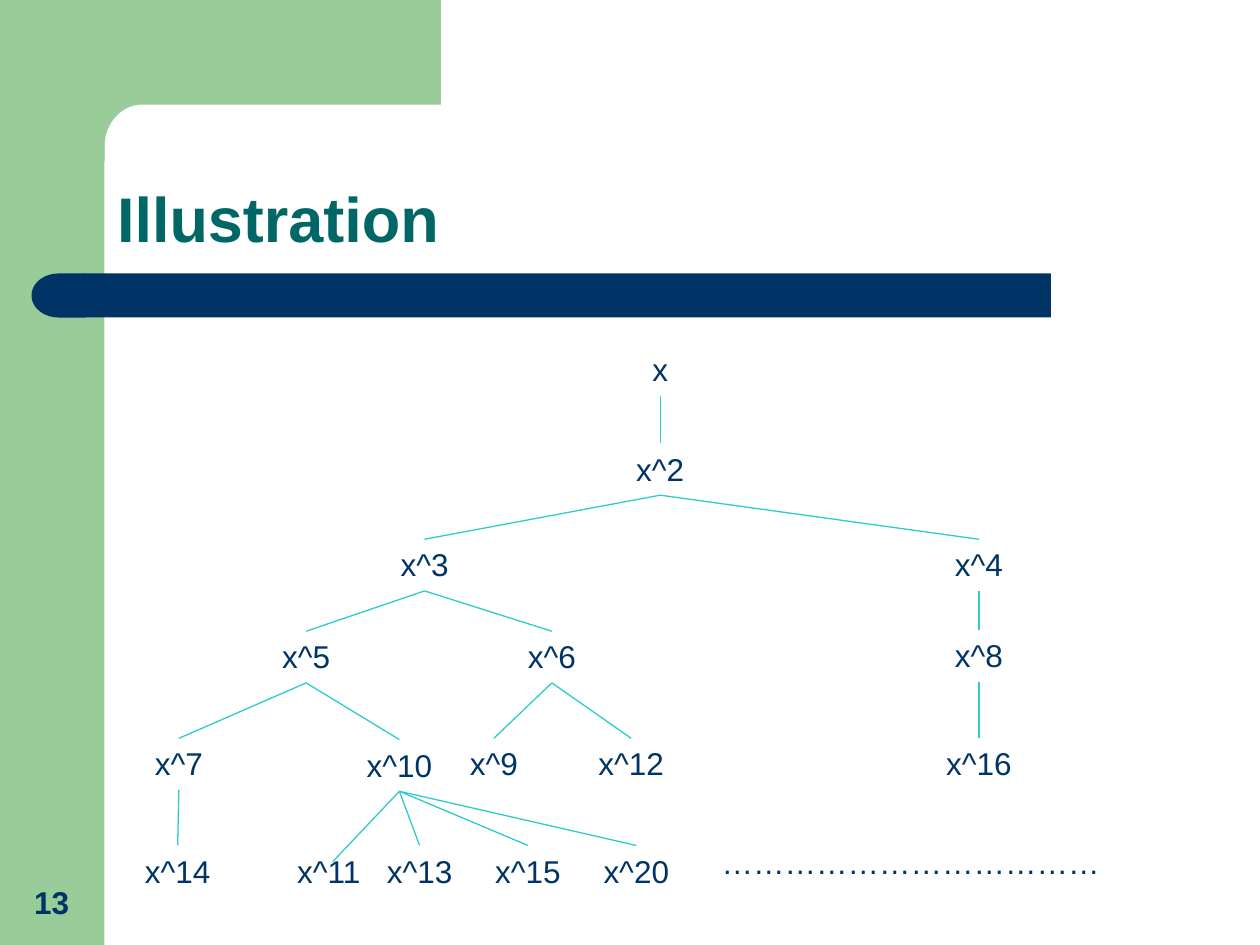
"""Build a slide showing a tree of powers of x."""
import math

from lxml import etree
from pptx import Presentation
from pptx import util as u
from pptx.dml.color import RGBColor
from pptx.enum import shapes, text
from pptx.oxml.ns import qn

GREEN, NAVY, TEAL, CYAN = "99CC99", "003366", "006666", "2ECBCB"
NODE_HEIGHT = 0.4

NODES = {
    "x": (5.24, 2.73, 0.47),
    "x^2": (5.24, 3.52, 0.7),
    "x^3": (3.37, 4.28, 0.7),
    "x^4": (7.77, 4.28, 0.7),
    "x^5": (2.43, 5.01, 0.7),
    "x^6": (4.38, 5.01, 0.7),
    "x^8": (7.77, 5, 0.7),
    "x^7": (1.42, 5.86, 0.7),
    "x^10": (3.17, 5.87, 0.78),
    "x^9": (3.92, 5.86, 0.7),
    "x^12": (5.01, 5.86, 0.86),
    "x^16": (7.77, 5.86, 0.86),
    "x^14": (1.41, 6.71, 0.78),
    "x^11": (2.61, 6.71, 0.78),
    "x^13": (3.33, 6.71, 0.78),
    "x^15": (4.19, 6.71, 0.78),
    "x^20": (5.05, 6.71, 0.78),
}
CHILDREN = {
    "x": ["x^2"],
    "x^2": ["x^3", "x^4"],
    "x^3": ["x^5", "x^6"],
    "x^4": ["x^8"],
    "x^5": ["x^7", "x^10"],
    "x^6": ["x^9", "x^12"],
    "x^8": ["x^16"],
    "x^7": ["x^14"],
    "x^10": ["x^11", "x^13", "x^15", "x^20"],
}
LINE_ENDS = {"x^11": (2.64, 6.84)}


def color(value):
    return RGBColor.from_string(value)


class SlideBuilder:
    """Hold the style and the current slide."""

    font = "Arial"
    size = 18

    def __init__(self, presentation):
        self.slide = presentation.slides.add_slide(presentation.slide_layouts[5])

    def paint(self, shape, fill):
        shape.shadow.inherit = False
        shape.fill.solid()
        shape.fill.fore_color.rgb = color(fill)
        shape.line.fill.background()

    def block(self, kind, box, fill):
        shape = self.slide.shapes.add_shape(kind, *map(u.Inches, box))
        self.paint(shape, fill)
        return shape

    def outline(self, points, fill):
        start, *rest = [(u.Inches(x), u.Inches(y)) for x, y in points]
        builder = self.slide.shapes.build_freeform(*start)
        builder.add_line_segments(rest, close=True)
        self.paint(builder.convert_to_shape(), fill)

    def set_text(self, shape, words, ink, size, bold, align, anchor):
        frame = shape.text_frame
        frame.word_wrap = True
        frame.auto_size = text.MSO_AUTO_SIZE.NONE
        frame.vertical_anchor = anchor
        paragraph = frame.paragraphs[0]
        paragraph.alignment = align
        run = paragraph.add_run()
        run.text = words
        run.font.name = self.font
        run.font.size = u.Pt(size)
        run.font.bold = bold
        run.font.color.rgb = color(ink)
        return paragraph

    def title(self, words, box):
        shape = self.slide.shapes.title
        shape.left, shape.top, shape.width, shape.height = map(u.Inches, box)
        paragraph = self.set_text(shape, words, TEAL, 36, True,
                                  text.PP_ALIGN.LEFT, text.MSO_ANCHOR.BOTTOM)
        paragraph.line_spacing = 0.9

    def label(self, words, box, bold=False, align=text.PP_ALIGN.CENTER,
              anchor=text.MSO_ANCHOR.TOP):
        shape = self.slide.shapes.add_textbox(*map(u.Inches, box))
        self.set_text(shape, words, NAVY, self.size, bold, align, anchor)

    def line(self, start, end):
        connector = self.slide.shapes.add_connector(
            shapes.MSO_CONNECTOR.STRAIGHT, *map(u.Inches, (*start, *end)))
        connector.line.color.rgb = color(CYAN)
        connector.line.width = u.Pt(0.75)
        etree.SubElement(connector._element.spPr, qn("a:effectLst"))


def draw_frame(builder):
    kinds = shapes.MSO_SHAPE
    builder.block(kinds.RECTANGLE, (0, 0, 0.83, 7.5), GREEN)
    angles = [math.radians(degrees) for degrees in range(0, 91, 5)]
    corner = [(1.13 - 0.3 * math.sin(angle), 1.16 - 0.33 * math.cos(angle))
              for angle in angles]
    builder.outline([(0.5, 0), (3.5, 0), (3.5, 0.83), *corner,
                     (0.83, 1.28), (0.5, 1.28)], GREEN)
    builder.block(kinds.RECTANGLE, (0.67, 2.17, 7.67, 0.35), NAVY)
    cap = builder.block(kinds.FLOWCHART_DELAY, (0.25, 2.17, 0.43, 0.35), NAVY)
    cap.rotation = 180


def draw_tree(builder):
    for name, (center, top, width) in NODES.items():
        builder.label(name, (center - width / 2, top, width, NODE_HEIGHT))
    for parent, children in CHILDREN.items():
        center, top, _ = NODES[parent]
        for child in children:
            end = LINE_ENDS.get(child, NODES[child][:2])
            builder.line((center, top + NODE_HEIGHT + 0.01), end)


def main():
    presentation = Presentation()
    presentation.slide_width = u.Inches(10)
    presentation.slide_height = u.Inches(7.5)
    builder = SlideBuilder(presentation)
    draw_frame(builder)
    builder.title("Illustration", (0.83, 0.83, 8.67, 1.25))
    builder.label("13", (0.09, 6.83, 0.64, 0.53), bold=True,
                  anchor=text.MSO_ANCHOR.BOTTOM)
    draw_tree(builder)
    builder.label("………………………………", (5.63, 6.64, 3.36, NODE_HEIGHT),
                  align=text.PP_ALIGN.LEFT)
    presentation.save("out.pptx")


if __name__ == "__main__":
    main()
